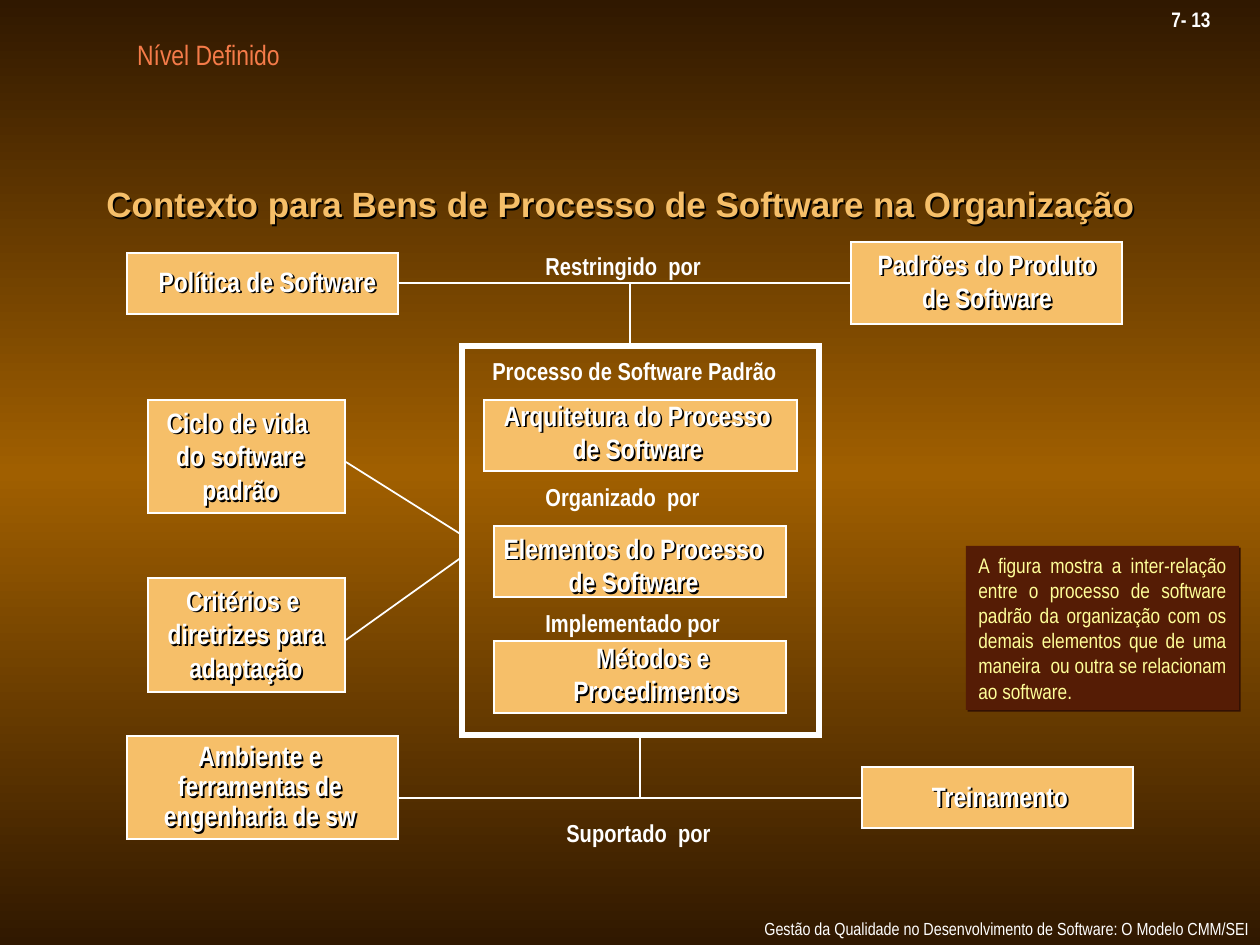
import copy
import pptx
import pptx.util
import pptx.dml.color
import pptx.enum.shapes
import pptx.enum.text
import pptx.oxml
import pptx.oxml.ns

PX = 914400 / 126
WHITE, SAND, DARK, BROWN = "FFFFFF", "F6BF69", "301800", "A05F00"
NARROW = "Arial Narrow"
ALIGN = pptx.enum.text.PP_ALIGN

# left, top, width, height
BOXES = [
    (127, 253, 271, 61), (851, 242, 271, 82), (127, 736, 271, 103), (862, 767, 271, 61),
    (148, 400, 197, 113), (148, 578, 197, 114),
    (484, 400, 313, 71), (494, 526, 292, 71), (494, 641, 292, 72),
]
# box, lines, line spacing
BOX_LABELS = [
    ((138, 258, 259, 45), ["Política de Software"], None),
    ((861, 241, 252, 79), ["Padrões do Produto", "de Software"], None),
    ((124, 736, 272, 103), ["Ambiente e ferramentas de engenharia de sw"], 0.9),
    ((911, 773, 178, 45), ["Treinamento"], None),
    ((145, 399, 191, 113), ["Ciclo de vida ", "do software", "padrão"], None),
    ((145, 577, 202, 113), ["Critérios e ", "diretrizes para", "adaptação"], None),
    ((483, 392, 309, 79), ["Arquitetura do Processo", "de Software"], None),
    ((483, 525, 301, 79), ["Elementos do Processo", "de Software"], None),
    ((553, 634, 206, 79), ["Métodos e ", "Procedimentos"], None),
]
RELATIONS = [
    ((533, 245, 200, 41), "Restringido  por"),
    ((480, 350, 330, 41), "Processo de Software Padrão"),
    ((533, 476, 200, 41), "Organizado  por"),
    ((533, 602, 220, 41), "Implementado por"),
    ((554, 812, 190, 41), "Suportado  por"),
]
# x1, y1, x2, y2
LINES = [
    (861, 798, 399, 798), (640, 735, 640, 798), (399, 283, 851, 283),
    (630, 346, 630, 283), (346, 462, 462, 535), (346, 640, 462, 557),
]
NOTE = ("A figura mostra a inter-relação entre o processo de software padrão da "
        "organização com os demais elementos que de uma maneira  ou outra se "
        "relacionam ao software.")


def emu(*pixels):
    """Turn pixels into EMU."""
    return [pptx.util.Emu(round(v * PX)) for v in pixels]


def rgb(value):
    """Turn a hex string into a colour."""
    return pptx.dml.color.RGBColor.from_string(value)


def add_effects(sp, shadow=None):
    """Give a shape an effect list, empty or with a short diagonal shadow."""
    inner = "" if shadow is None else (
        '<a:outerShdw dist="17961" dir="2700000" algn="ctr" rotWithShape="0">'
        f'<a:srgbClr val="{shadow}"/></a:outerShdw>')
    ns = pptx.oxml.ns.nsdecls("a")
    sp.element.spPr.append(pptx.oxml.parse_xml(f"<a:effectLst {ns}>{inner}</a:effectLst>"))


def write(sp, lines, size=16, color=WHITE, font=NARROW, bold=True, align=ALIGN.LEFT,
          wrap=True, grow=True, anchor="TOP", spacing=None, before=None):
    """Write paragraphs into a shape in one format."""
    tf = sp.text_frame
    tf.word_wrap = wrap
    kinds = pptx.enum.text.MSO_AUTO_SIZE
    tf.auto_size = kinds.SHAPE_TO_FIT_TEXT if grow else kinds.NONE
    tf.vertical_anchor = getattr(pptx.enum.text.MSO_ANCHOR, anchor)
    for i, line in enumerate(lines):
        p = tf.add_paragraph() if i else tf.paragraphs[0]
        p.alignment = align
        if spacing:
            p.line_spacing = spacing
        if before:
            p.space_before = pptx.util.Pt(before)
        r = p.add_run()
        r.text = line
        r.font.size, r.font.name, r.font.bold = pptx.util.Pt(size), font, bold
        r.font.color.rgb = rgb(color)


def add_text(s, box, lines, shadow=None, **fmt):
    """Add a text box, with a text shadow if a colour is given."""
    sp = s.shapes.add_textbox(*emu(*box))
    if shadow:
        add_effects(sp, shadow)
    write(sp, lines, **fmt)


def add_rect(s, box, fill=None, line=None, width=1, shadow=None):
    """Add a rectangle with square corners; without a fill or line colour it has none."""
    sp = s.shapes.add_shape(pptx.enum.shapes.MSO_SHAPE.RECTANGLE, *emu(*box))
    if fill:
        sp.fill.solid()
        sp.fill.fore_color.rgb = rgb(fill)
    else:
        sp.fill.background()
    if line:
        sp.line.color.rgb = rgb(line)
        sp.line.width = pptx.util.Pt(width)
        ln = sp.element.spPr.find(pptx.oxml.ns.qn("a:ln"))
        ns = pptx.oxml.ns.nsdecls("a")
        ln.append(pptx.oxml.parse_xml(f'<a:miter {ns} lim="800000"/>'))
    else:
        sp.line.fill.background()
    add_effects(sp, shadow)
    return sp


def add_line(s, ends):
    """Add a thin white line."""
    cn = s.shapes.add_connector(pptx.enum.shapes.MSO_CONNECTOR.STRAIGHT, *emu(*ends))
    cn.line.color.rgb = rgb(WHITE)
    cn.line.width = pptx.util.Pt(1)
    add_effects(cn)


def paint_background(s, colors):
    """Fill the background with evenly spaced colours from top to bottom."""
    fill = s.background.fill
    fill.gradient()
    fill.gradient_angle = 270
    stops = s.element.find(".//" + pptx.oxml.ns.qn("a:gsLst"))
    while len(stops) < len(colors):
        stops.append(copy.deepcopy(stops[0]))
    for i, (stop, color) in enumerate(zip(fill.gradient_stops, colors)):
        stop.color.rgb = rgb(color)
        stop.position = i / (len(colors) - 1)


def build():
    """Build and save the slide."""
    prs = pptx.Presentation()
    prs.slide_width, prs.slide_height = emu(1260, 945)
    s = prs.slides.add_slide(prs.slide_layouts[6])
    paint_background(s, [DARK, BROWN, DARK])

    add_text(s, (752, 912, 509, 33),
             ["Gestão da Qualidade no Desenvolvimento de Software: O Modelo CMM/SEI"],
             size=10, bold=False, wrap=False)
    add_text(s, (1159, 0, 100, 38), ["7- 13"], size=12)
    add_text(s, (31, 31, 355, 32), ["Nível Definido"], color="F57B49", bold=False,
             align=ALIGN.CENTER, grow=False)
    add_text(s, (94, 95, 1071, 136),
             ["Contexto para Bens de Processo de Software na Organização"],
             shadow="000000", size=20, color=SAND, font="Arial",
             grow=False, anchor="BOTTOM")

    for box in BOXES:
        add_rect(s, box, fill=SAND, line=WHITE)
    for box, lines, spacing in BOX_LABELS:
        add_text(s, box, lines, shadow="000000", align=ALIGN.CENTER, spacing=spacing)
    for box, text in RELATIONS:
        add_text(s, box, [text], size=14)
    for ends in LINES:
        add_line(s, ends)
    add_rect(s, (462, 346, 357, 389), line=WHITE, width=3)

    note = add_rect(s, (966, 546, 273, 164), fill="551C05", shadow="331103")
    write(note, [NOTE], size=12, color="FFFF99", bold=False, align=ALIGN.JUSTIFY,
          before=4.5)
    prs.save("out.pptx")


build()
